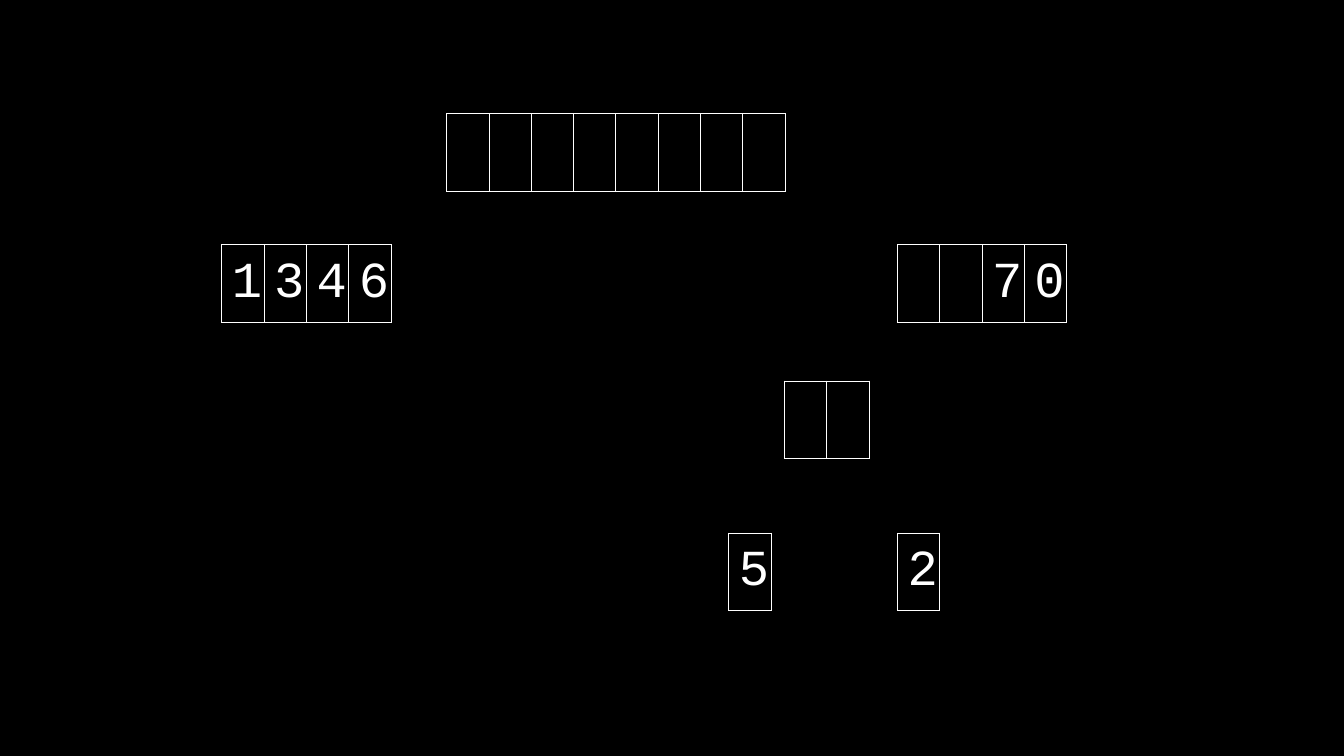
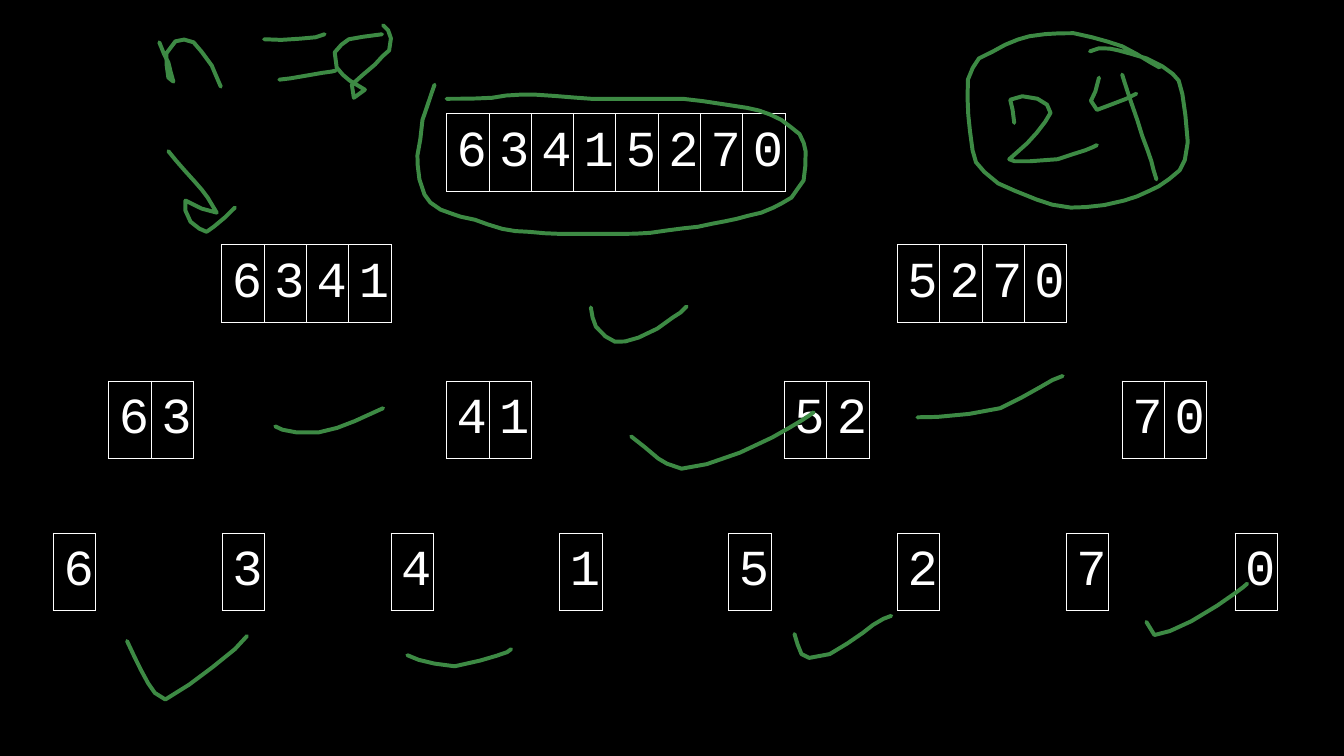
from math import dist

from lxml.etree import SubElement
from pptx import Presentation
from pptx.dml.color import RGBColor
from pptx.enum.text import MSO_ANCHOR, PP_ALIGN
from pptx.oxml import parse_xml
from pptx.oxml.ns import nsdecls, qn
from pptx.util import Pt

PX = 9144
SLIDE_W, SLIDE_H = 1333, 750
BLACK = RGBColor(0x00, 0x00, 0x00)
WHITE = RGBColor(0xFF, 0xFF, 0xFF)
GREEN = RGBColor(0x3D, 0x8A, 0x44)
FONT = "Courier New"
CELL_W, CELL_H, INSET = 42, 77, 10
TREE_X, TREE_Y = 53, 113
LEVELS = [(390, 0, 0), (167, 130, 670), (55, 265, 1005), (0, 416, 1172)]
SEGMENT, MAX_SEGMENTS = 18, 3

ARRAY = "63415270"
SPLIT_TREE = [[ARRAY[i:i + w] for i in range(0, len(ARRAY), w)]
              for w in (8, 4, 2, 1)]
MERGE_TREE = [
    [" " * 8],
    ["1346", "  70"],
    ["", "", "  ", ""],
    ["", "", "", "", "5", "2", "", ""],
]

ARROW = [
    (167, 150, 174, 159, 183, 169, 193, 180, 198, 185, 203, 192, 206, 196,
     208, 201, 212, 207, 215, 211, 217, 216, 208, 213, 200, 207,
     193, 205, 188, 201, 184, 199, 182, 205, 184, 212, 189, 220,
     196, 226, 200, 229, 205, 230, 210, 227, 224, 216, 233, 206),
]
TWENTY_FOUR = [
    (1006, 122, 1005, 113, 1004, 104, 1002, 99, 1007, 94, 1020, 95, 1029, 98,
     1037, 102, 1042, 105, 1042, 112, 1039, 119, 1028, 133, 1019, 142,
     1013, 147, 1006, 154, 1001, 158, 1002, 161, 1015, 161, 1049, 158,
     1066, 152, 1079, 149, 1084, 146, 1088, 144),
    (1090, 77, 1088, 88, 1085, 95, 1082, 100, 1081, 104, 1080, 108, 1088, 109,
     1100, 104, 1108, 102, 1117, 98, 1121, 95, 1124, 94, 1127, 93),
    (1113, 74, 1115, 80, 1119, 94, 1128, 119, 1132, 135, 1140, 152, 1142, 160,
     1143, 166, 1145, 171, 1147, 178),
]
ARRAY_LOOP = [
    (431, 84, 427, 95, 424, 105, 419, 119, 418, 131, 416, 146, 414, 154,
     414, 160, 414, 166, 416, 178, 417, 183, 419, 189, 421, 193,
     423, 197, 429, 205, 437, 208, 447, 212, 452, 213, 457, 215,
     463, 216, 468, 217, 471, 218, 479, 221, 487, 224, 498, 227,
     506, 229, 516, 230, 525, 230, 534, 231, 546, 232, 555, 232,
     568, 232, 577, 232, 584, 232, 596, 232, 605, 232, 615, 232,
     624, 232, 635, 232, 645, 231, 658, 229, 680, 226, 692, 225,
     709, 221, 719, 220, 731, 217, 738, 215, 746, 213, 755, 211,
     759, 210, 762, 207, 767, 206, 772, 203, 778, 201, 785, 196,
     790, 189, 794, 183, 797, 179, 799, 169, 799, 160, 799, 150,
     798, 144, 797, 140, 793, 133, 789, 130, 781, 123, 775, 119,
     764, 113, 753, 109, 741, 107, 714, 103, 698, 100, 677, 98,
     666, 98, 651, 98, 640, 98, 620, 98, 605, 98, 586, 98,
     570, 97, 551, 95, 532, 94, 527, 94, 522, 94, 515, 94,
     507, 94, 497, 95, 488, 97, 471, 98, 456, 98, 443, 98),
]
N_EQUALS_EIGHT = [
    (158, 42, 161, 50, 164, 57, 167, 62, 169, 70, 170, 75, 172, 81,
     172, 89, 169, 85, 167, 77, 165, 67, 165, 61, 165, 53,
     168, 47, 172, 44, 174, 41, 179, 39, 186, 38, 192, 42,
     197, 47, 203, 55, 210, 65, 212, 69, 215, 74, 216, 79,
     217, 81, 218, 84, 219, 86),
    (262, 39, 276, 41, 302, 38, 313, 37, 316, 36, 319, 35, 322, 34),
    (277, 79, 282, 79, 292, 77, 304, 75, 318, 72, 324, 72, 329, 71, 333, 70),
    (379, 34, 363, 36, 355, 37, 346, 39, 342, 42, 335, 46, 332, 52,
     332, 57, 332, 64, 334, 67, 337, 72, 343, 77, 347, 80,
     355, 84, 358, 86, 362, 89, 366, 91, 357, 95, 351, 97,
     346, 97, 341, 97, 349, 84, 356, 77, 363, 72, 372, 64,
     377, 58, 382, 53, 386, 50, 389, 39, 388, 36, 385, 30, 380, 25),
]
CHECK_MARKS = [
    (586, 305, 587, 311, 588, 319, 591, 324, 597, 332, 604, 337, 610, 339,
     619, 340, 630, 338, 652, 326, 666, 316, 671, 312, 675, 310,
     676, 307, 678, 305, 681, 304),
    (273, 423, 277, 426, 290, 431, 316, 429, 335, 426, 352, 418, 369, 410,
     374, 408, 377, 406, 380, 405),
    (626, 433, 635, 440, 644, 447, 653, 455, 658, 459, 663, 461, 676, 465,
     694, 465, 737, 450, 766, 434, 784, 424, 799, 415, 803, 412, 807, 409),
    (910, 414, 919, 415, 966, 412, 992, 405, 1014, 395, 1035, 382, 1044, 377,
     1048, 376, 1051, 374, 1054, 373),
    (126, 636, 134, 653, 139, 664, 147, 678, 151, 685, 155, 691, 164, 694,
     188, 681, 211, 662, 233, 644, 237, 640, 241, 636, 245, 631),
    (404, 650, 413, 655, 429, 659, 451, 661, 482, 655, 494, 650, 503, 647,
     507, 644),
    (788, 629, 789, 635, 793, 644, 795, 649, 797, 653, 804, 655, 823, 649,
     841, 639, 859, 626, 866, 620, 874, 615, 879, 612, 884, 611),
    (1137, 617, 1138, 621, 1140, 625, 1145, 630, 1157, 629, 1180, 619,
     1207, 601, 1229, 586, 1234, 582, 1237, 579),
]
ANSWER_LOOP = [
    (1150, 67, 1145, 65, 1126, 52, 1113, 46, 1098, 41, 1085, 37, 1065, 33,
     1051, 33, 1038, 33, 1021, 36, 1011, 38, 996, 44, 985, 51,
     980, 53, 974, 56, 971, 58, 966, 64, 963, 70, 960, 79,
     959, 99, 960, 114, 962, 130, 963, 145, 966, 156, 968, 161,
     971, 166, 980, 175, 990, 182, 1009, 191, 1019, 194, 1028, 198,
     1039, 202, 1047, 205, 1062, 206, 1075, 206, 1095, 205, 1115, 199,
     1128, 196, 1140, 189, 1149, 185, 1157, 179, 1162, 177, 1170, 169,
     1173, 165, 1178, 155, 1178, 141, 1176, 112, 1173, 89, 1169, 80,
     1165, 74, 1156, 66, 1137, 58, 1127, 55, 1114, 51, 1109, 50,
     1104, 48, 1098, 48, 1090, 48, 1081, 51),
]
INK = (ARROW + TWENTY_FOUR + ARRAY_LOOP + N_EQUALS_EIGHT + CHECK_MARKS
       + ANSWER_LOOP)


def px(n):
    """Turn px into EMU."""
    return round(n * PX)


def outline_cell(cell):
    """Give a cell thin white borders and no fill."""
    cell.fill.background()
    tcPr = cell._tc.get_or_add_tcPr()
    for i, side in enumerate("LRTB"):
        tcPr.insert(i, parse_xml(
            f'<a:ln{side} {nsdecls("a")} w="{Pt(0.75)}"><a:solidFill>'
            f'<a:srgbClr val="{WHITE}"/></a:solidFill></a:ln{side}>'))


def draw_array(s, x, y, digits):
    """Draw one array as a one-row table, a blank for an empty cell."""
    n = len(digits)
    table = s.shapes.add_table(
        1, n, px(x), px(y), px(n * CELL_W), px(CELL_H)).table
    table.first_row = table.horz_banding = False
    for i, digit in enumerate(digits):
        table.columns[i].width = px(CELL_W)
        cell = table.cell(0, i)
        cell.margin_left = cell.margin_right = px(INSET)
        cell.margin_top = cell.margin_bottom = px(INSET)
        cell.vertical_anchor = MSO_ANCHOR.MIDDLE
        outline_cell(cell)
        if digit != " ":
            p = cell.text_frame.paragraphs[0]
            p.alignment = PP_ALIGN.CENTER
            r = p.add_run()
            r.text = digit
            r.font.name, r.font.size = FONT, Pt(36)
            r.font.color.rgb = WHITE


def draw_tree(s, x, y, tree):
    """Draw the levels of the recursion tree, spacing each level evenly."""
    for (dx, dy, span), nodes in zip(LEVELS, tree):
        step = span / max(len(nodes) - 1, 1)
        for i, digits in enumerate(nodes):
            if digits:
                draw_array(s, x + dx + i * step, y + dy, digits)


def curve_points(a, b, c, d):
    """Sample a cubic curve after its first point, long curves more finely."""
    n = min(MAX_SEGMENTS, 1 + int(dist(a, d) // SEGMENT))
    for k in range(1, n + 1):
        t = k / n
        u = 1 - t
        weights = (u ** 3, 3 * u * u * t, 3 * u * t * t, t ** 3)
        yield tuple(px(sum(w * q[axis] for w, q in zip(weights, (a, b, c, d))))
                    for axis in (0, 1))


def draw_stroke(s, coords):
    """Draw one pen stroke: a start, cubic curves, perhaps a last line."""
    pts = list(zip(coords[::2], coords[1::2]))
    last = (len(pts) - 1) // 3 * 3
    route = [q for i in range(0, last, 3) for q in curve_points(*pts[i:i + 4])]
    route += [(px(x), px(y)) for x, y in pts[last + 1:]]
    fb = s.shapes.build_freeform(px(pts[0][0]), px(pts[0][1]))
    fb.add_line_segments(route, close=False)
    sp = fb.convert_to_shape()
    sp.shadow.inherit = False
    sp.fill.background()
    sp.line.color.rgb = GREEN
    sp.line.width = Pt(2.83)
    ln = sp.line._get_or_add_ln()
    ln.set("cap", "rnd")
    SubElement(ln, qn("a:round"))


def add_tree_slide(prs, tree, ink=()):
    """Add a slide with a recursion tree and pen strokes over it."""
    s = prs.slides.add_slide(prs.slide_layouts[6])
    draw_tree(s, TREE_X, TREE_Y, tree)
    for coords in ink:
        draw_stroke(s, coords)


def main():
    """Build and save the presentation."""
    prs = Presentation()
    prs.slide_width, prs.slide_height = px(SLIDE_W), px(SLIDE_H)
    fill = prs.slide_master.background.fill
    fill.solid()
    fill.fore_color.rgb = BLACK
    add_tree_slide(prs, MERGE_TREE)
    add_tree_slide(prs, SPLIT_TREE, INK)
    prs.save("out.pptx")


if __name__ == "__main__":
    main()
